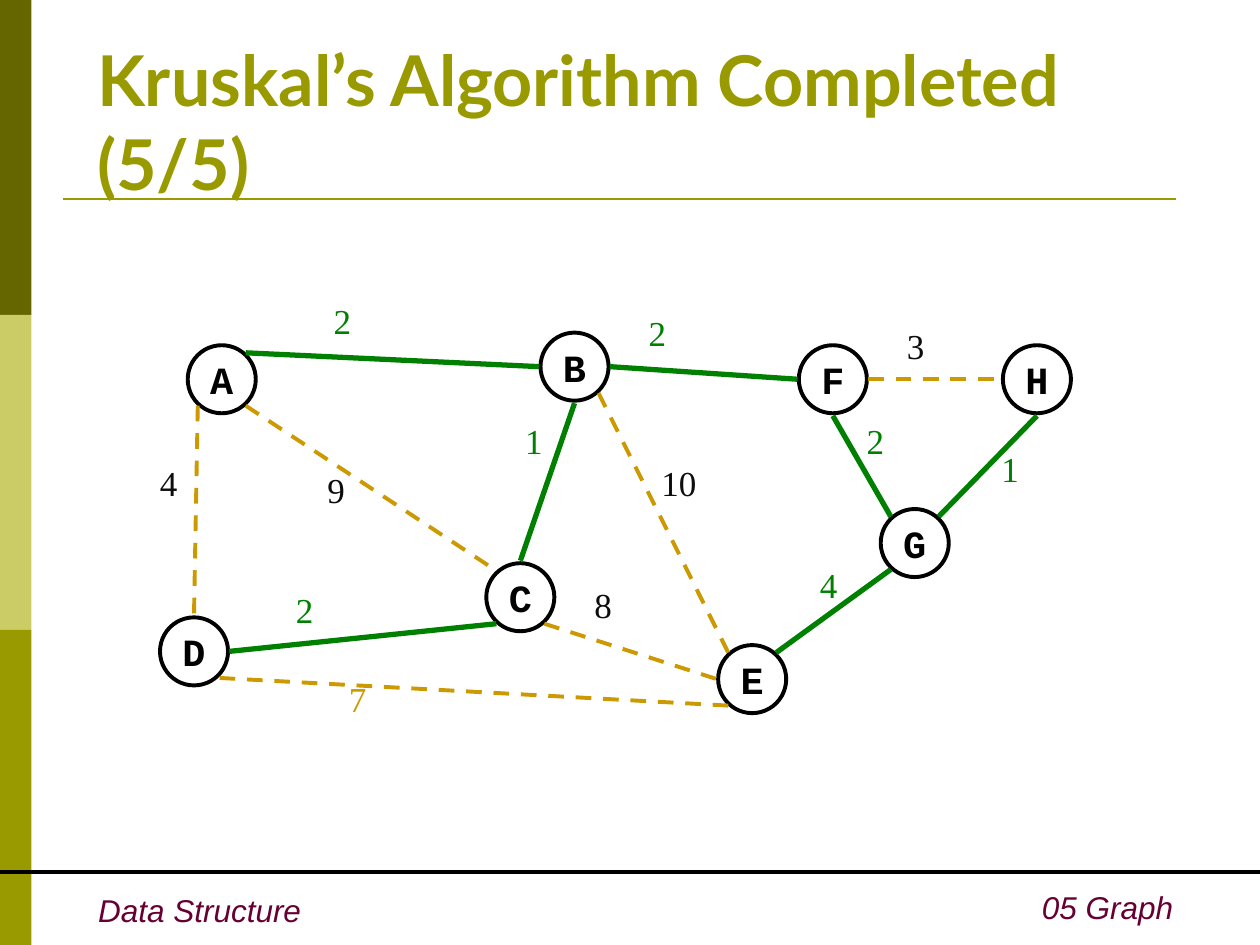
import pptx
import pptx.util
import pptx.dml.color
import pptx.enum.dml
import pptx.enum.shapes
import pptx.enum.text
from lxml import etree
from pptx.oxml.ns import qn

Inches = pptx.util.Inches
SHAPE = pptx.enum.shapes.MSO_SHAPE
ALIGN = pptx.enum.text.PP_ALIGN
ANCHOR = pptx.enum.text.MSO_ANCHOR
AUTO = pptx.enum.text.MSO_AUTO_SIZE

COLORS = {
    "dark": "666600", "light": "CCCC66", "olive": "999900",
    "footer": "660033", "tree": "008000", "skipped": "CC9900",
    "ink": "0D0D0D", "black": "000000", "white": "FFFFFF",
}
TITLE = "Kruskal’s Algorithm Completed (5/5)"
BANDS = ["dark", "light", "olive"]
RULES = [((0.5, 1.58), (9.33, 1.58), "olive", 1.5),
         ((0, 6.92), (10, 6.92), "black", 2.25)]
FOOTERS = [("Data Structure", (0.68, 7.02, 1.81, 0.4), ALIGN.LEFT, False),
           ("05 Graph", (5.24, 7, 4.17, 0.4), ALIGN.RIGHT, True)]
NODES = {
    "A": (1.76, 3.01), "C": (4.13, 4.74), "B": (4.56, 2.91), "D": (1.54, 5.17),
    "F": (6.61, 3.01), "H": (8.23, 3.01), "G": (7.26, 4.31), "E": (5.97, 5.39),
}
DIAMETER = 0.54
PORTS = {
    "n": (0, -0.29), "s": (0, 0.29), "w": (-0.28, 0), "e": (0.28, 0),
    "nw": (-0.19, -0.21), "ne": (0.19, -0.21),
    "sw": (-0.19, 0.21), "se": (0.19, 0.21),
}
EDGES = [
    ("A", "ne", "B", "w", "tree", "2", (2.55, 2.33), "tree"),
    ("B", "s", "C", "n", "tree", "1", (4.07, 3.28), "tree"),
    ("D", "e", "C", "sw", "tree", "2", (2.25, 4.62), "tree"),
    ("A", "sw", "D", "n", "skipped", "4", (1.17, 3.61), "ink"),
    ("C", "se", "E", "w", "skipped", "8", (4.62, 4.58), "ink"),
    ("E", "sw", "D", "se", "skipped", "7", (2.67, 5.33), "skipped"),
    ("G", "nw", "F", "s", "tree", "2", (6.78, 3.28), "tree"),
    ("F", "e", "H", "w", "skipped", "3", (7.1, 2.53), "ink"),
    ("H", "s", "G", "ne", "tree", "1", (7.85, 3.5), "tree"),
    ("B", "e", "F", "w", "tree", "2", (5.05, 2.42), "tree"),
    ("B", "se", "E", "ne_left", "skipped", "10", (5.15, 3.61), "ink"),
    ("A", "se", "C", "nw", "skipped", "9", (2.5, 3.67), "ink"),
    ("E", "ne", "G", "sw", "tree", "4", (6.41, 4.42), "tree"),
]
EDGES[10] = EDGES[10][:3] + ("nw",) + EDGES[10][4:]


def rgb(name):
    return pptx.dml.color.RGBColor.from_string(COLORS[name])


def write(tf, text, size=20, font="Times New Roman", color="black", bold=False,
          italic=False, align=ALIGN.LEFT, anchor=ANCHOR.TOP, wrap=False,
          auto=AUTO.NONE):
    tf.word_wrap = wrap
    tf.auto_size = auto
    tf.vertical_anchor = anchor
    p = tf.paragraphs[0]
    p.alignment = align
    r = p.add_run()
    r.text = text
    r.font.size = pptx.util.Pt(size)
    r.font.name = font
    r.font.bold = bold
    r.font.italic = italic
    r.font.color.rgb = rgb(color)


def add_shape(s, kind, box, fill, line=None):
    sp = s.shapes.add_shape(kind, *map(Inches, box))
    sp.shadow.inherit = False
    sp.fill.solid()
    sp.fill.fore_color.rgb = rgb(fill)
    if line:
        sp.line.color.rgb = rgb(line)
        sp.line.width = pptx.util.Pt(2.25)
    else:
        sp.line.fill.background()
    return sp


def add_line(s, start, end, color, width, dashed=False):
    line = s.shapes.add_connector(pptx.enum.shapes.MSO_CONNECTOR.STRAIGHT,
                                  *map(Inches, start + end))
    line.line.color.rgb = rgb(color)
    line.line.width = pptx.util.Pt(width)
    if dashed:
        line.line.dash_style = pptx.enum.dml.MSO_LINE.DASH
    etree.SubElement(line._element.spPr, qn("a:effectLst"))


def port(node, side):
    (x, y), (dx, dy) = NODES[node], PORTS[side]
    return x + dx, y + dy


def main():
    prs = pptx.Presentation()
    prs.slide_width, prs.slide_height = Inches(10), Inches(7.5)
    s = prs.slides.add_slide(prs.slide_layouts[5])

    for i, color in enumerate(BANDS):
        add_shape(s, SHAPE.RECTANGLE, (0, 2.5 * i, 0.25, 2.5), color)
    for rule in RULES:
        add_line(s, *rule)
    for text, box, align, wrap in FOOTERS:
        sp = s.shapes.add_textbox(*map(Inches, box))
        write(sp.text_frame, text, size=18, font="Arial", color="footer",
              italic=True, align=align, wrap=wrap, auto=AUTO.SHAPE_TO_FIT_TEXT)

    title = s.shapes.title
    title.left, title.top, title.width, title.height = map(
        Inches, (0.67, 0.42, 9.08, 1.25))
    write(title.text_frame, TITLE, size=40, font="Lato", color="olive",
          bold=True, anchor=ANCHOR.BOTTOM, wrap=True)

    for name, (x, y) in NODES.items():
        box = (x - DIAMETER / 2, y - DIAMETER / 2, DIAMETER, DIAMETER)
        sp = add_shape(s, SHAPE.OVAL, box, "white", "black")
        write(sp.text_frame, name, size=22, font="Courier New", bold=True,
              align=ALIGN.CENTER, anchor=ANCHOR.MIDDLE)

    for a, a_side, b, b_side, kind, weight, at, color in EDGES:
        dashed = kind == "skipped"
        add_line(s, port(a, a_side), port(b, b_side), kind,
                 2.25 if dashed else 3, dashed)
        width = 0.2 + 0.14 * len(weight)
        sp = s.shapes.add_textbox(*map(Inches, at + (width, 0.44)))
        write(sp.text_frame, weight, color=color, auto=AUTO.SHAPE_TO_FIT_TEXT)

    prs.save("out.pptx")


if __name__ == "__main__":
    main()
